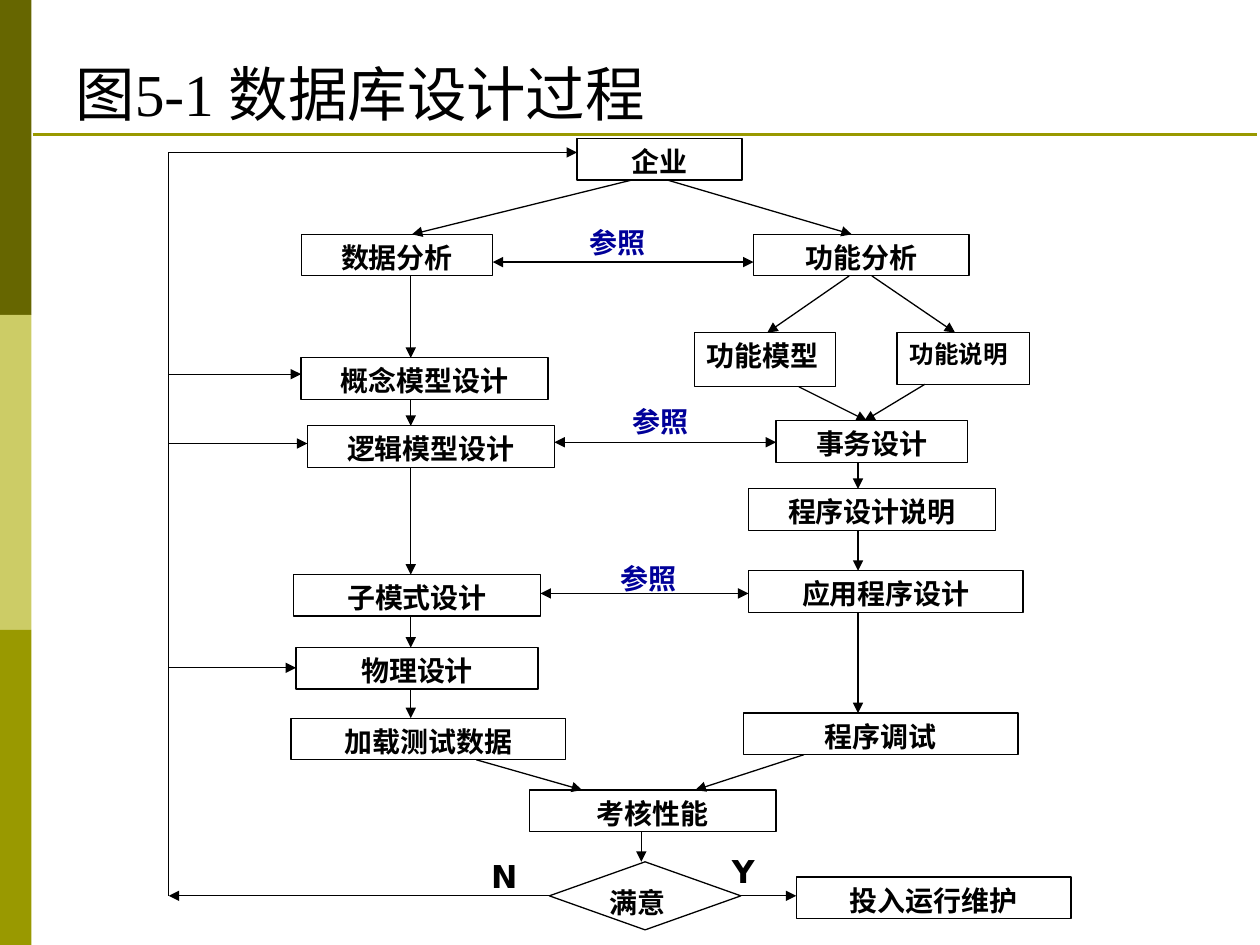
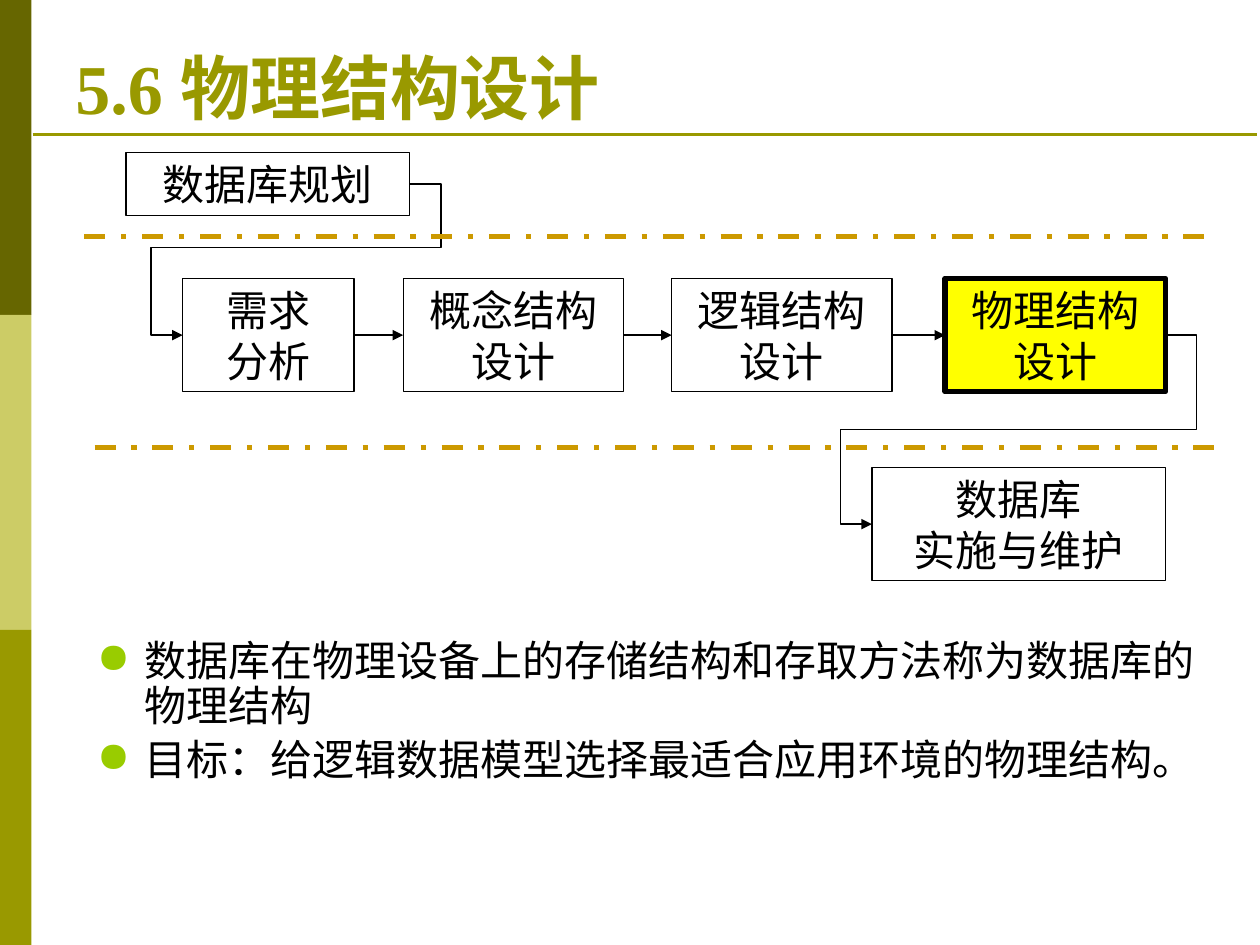
from dataclasses import dataclass
from typing import NamedTuple

from lxml import etree
from pptx import Presentation
from pptx import util as u
from pptx.dml.color import RGBColor
from pptx.enum import dml, shapes, text
from pptx.oxml.ns import qn


@dataclass(frozen=True)
class Theme:
    black: str = "000000"
    white: str = "FFFFFF"
    olive: str = "999900"
    dark_olive: str = "666600"
    pale_olive: str = "CCCC66"
    navy: str = "000099"
    yellow: str = "FFFF00"
    gold: str = "CC9900"
    lime: str = "99CC00"
    serif: str = "Times New Roman"
    sans: str = "DejaVu Sans"
    label_face: str = "Arial"
    small: int = 14
    node: int = 16
    answer: int = 18
    body: int = 24
    title: int = 34
    heading: int = 40
    thin: float = 0.75
    rule: float = 1.5
    thick: float = 3


THEME = Theme()
ALIGN = text.PP_ALIGN
SHAPE = shapes.MSO_SHAPE


class Box(NamedTuple):
    left: float
    top: float
    width: float
    height: float

    @property
    def right(self):
        return self.left + self.width

    @property
    def bottom(self):
        return self.top + self.height

    @property
    def middle(self):
        return self.top + self.height / 2

    def inside(self, x, y, width, height):
        return Box(self.left + x, self.top + y, width, height)

    def inches(self):
        return [u.Inches(value) for value in self]


def rgb(value):
    return RGBColor.from_string(value)


def write(frame, lines, size, align=ALIGN.CENTER, face=THEME.serif,
          color=THEME.black, bold=False):
    """Put one paragraph per line into the frame."""
    for index, line in enumerate(lines):
        para = frame.paragraphs[0] if index == 0 else frame.add_paragraph()
        para.alignment = align
        span = para.add_run()
        span.text = line
        span.font.color.rgb = rgb(color)
        for name, value in {"name": face, "size": u.Pt(size), "bold": bold}.items():
            setattr(span.font, name, value)


def add_block(page, box, fill=THEME.white, line=None, weight=THEME.thin, kind=SHAPE.RECTANGLE):
    block = page.shapes.add_shape(kind, *box.inches())
    block.shadow.inherit = False
    block.fill.solid()
    block.fill.fore_color.rgb = rgb(fill)
    if line:
        block.line.color.rgb = rgb(line)
        block.line.width = u.Pt(weight)
    else:
        block.line.fill.background()
    frame = block.text_frame
    frame.word_wrap = True
    frame.vertical_anchor = text.MSO_ANCHOR.TOP
    return block


def add_text(page, box, wrap=True, anchor=text.MSO_ANCHOR.TOP):
    frame = page.shapes.add_textbox(*box.inches()).text_frame
    frame.word_wrap = wrap
    frame.vertical_anchor = anchor
    return frame


def add_line(page, start, end, color=THEME.black, weight=THEME.thin, ends=(),
             kind=shapes.MSO_CONNECTOR.STRAIGHT):
    """Draw a connector; ends names the arrowheads, headEnd before tailEnd."""
    line = page.shapes.add_connector(kind, *[u.Inches(v) for v in (*start, *end)])
    line.line.color.rgb = rgb(color)
    line.line.width = u.Pt(weight)
    outline = line.line._get_or_add_ln()
    for name in ends:
        etree.SubElement(outline, qn(f"a:{name}"), type="triangle")
    etree.SubElement(line._element.spPr, qn("a:effectLst"))
    return line


def add_arrow(page, start, end):
    return add_line(page, start, end, ends=["tailEnd"])


def add_wrapping_arrow(page, source, target, middle):
    """Leave the source's right side and enter the target's left side from below."""
    gap = 0.25
    arrow = add_line(page, (source.right, source.middle), (target.left, target.middle),
                     ends=["tailEnd"], kind=shapes.MSO_CONNECTOR.ELBOW)
    overshoot = gap / (source.right - target.left)
    geometry = arrow._element.spPr.find(qn("a:prstGeom"))
    geometry.set("prst", "bentConnector5")
    guides = geometry.find(qn("a:avLst"))
    if guides is None:
        guides = etree.SubElement(geometry, qn("a:avLst"))
    for number, share in enumerate((-overshoot, middle, 1 + overshoot), 1):
        etree.SubElement(guides, qn("a:gd"), name=f"adj{number}",
                         fmla=f"val {round(share * 100000)}")


def side_band(page, box):
    colors = (THEME.dark_olive, THEME.pale_olive, THEME.olive)
    height = box.height / len(colors)
    for row, color in enumerate(colors):
        add_block(page, box.inside(0, row * height, box.width, height), color)


def title_region(page, box, title, **style):
    add_line(page, (box.left - 0.24, box.bottom), (box.right + 0.48, box.bottom),
             THEME.olive, THEME.rule)
    frame = add_text(page, box, anchor=text.MSO_ANCHOR.BOTTOM)
    write(frame, [title], align=ALIGN.LEFT, **style)


def start_page(deck, title, **style):
    page = deck.slides.add_slide(deck.slide_layouts[6])
    side_band(page, Box(0, 0, 0.25, 7.5))
    title_region(page, Box(0.5, 0.3, 9, 0.77), title, **style)
    return page


# Left, top and width of each step within the flowchart
STEPS = {
    "企业": (3.28, 0, 1.31),
    "数据分析": (1.09, 0.76, 1.52),
    "功能分析": (4.68, 0.76, 1.71),
    "概念模型设计": (1.09, 1.74, 1.96),
    "逻辑模型设计": (1.14, 2.28, 1.96),
    "事务设计": (4.86, 2.24, 1.52),
    "程序设计说明": (4.64, 2.78, 1.96),
    "子模式设计": (1.03, 3.46, 1.96),
    "应用程序设计": (4.64, 3.43, 2.18),
    "物理设计": (1.05, 4.04, 1.92),
    "加载测试数据": (1.01, 4.6, 2.18),
    "程序调试": (4.6, 4.56, 2.18),
    "考核性能": (2.9, 5.17, 1.96),
    "投入运行维护": (5.02, 5.86, 2.18),
}
# Steps with left-set text: box, type size, shape
LEFT_SET_STEPS = {
    "功能模型": ((4.21, 1.54, 1.12, 0.43), THEME.node, SHAPE.RECTANGLE),
    "功能说明": ((5.82, 1.54, 1.05, 0.41), THEME.small, SHAPE.RECTANGLE),
    "满意": ((3.06, 5.74, 1.52, 0.54), THEME.node, SHAPE.DIAMOND),
}
# Vertical runs of steps, each on one x
CHAINS = (
    (1.96, ("数据分析", "概念模型设计", "逻辑模型设计", "子模式设计", "物理设计", "加载测试数据")),
    (5.51, ("事务设计", "程序设计说明", "应用程序设计", "程序调试")),
    (3.79, ("考核性能", "满意")),
)
SLANTS = (
    ("企业", 3.71, "数据分析", 1.97),
    ("企业", 4.0, "功能分析", 5.46),
    ("功能分析", 5.44, "功能模型", 4.79),
    ("功能分析", 5.62, "功能说明", 6.28),
    ("功能模型", 5.04, "事务设计", 5.58),
    ("功能说明", 6.04, "事务设计", 5.56),
    ("加载测试数据", 2.48, "考核性能", 3.32),
    ("程序调试", 5.08, "考核性能", 4.22),
)
# Two steps, height of the arrow, place of its label
REFERENCES = (
    ("数据分析", "功能分析", 0.98, (3.28, 0.64)),
    ("逻辑模型设计", "事务设计", 2.41, (3.62, 2.06)),
    ("子模式设计", "应用程序设计", 3.61, (3.53, 3.31)),
)
RETURNS = {"企业": 0.11, "概念模型设计": 1.87, "逻辑模型设计": 2.42, "物理设计": 4.2}
ANSWERS = {"N": (2.5, 5.65), "Y": (4.41, 5.61)}


def flowchart(page, box):
    steps = {}
    for name, place in STEPS.items():
        steps[name] = box.inside(*place, 0.33)
        block = add_block(page, steps[name], line=THEME.black)
        write(block.text_frame, [name], THEME.node, bold=True)
    for name, (place, size, kind) in LEFT_SET_STEPS.items():
        steps[name] = box.inside(*place)
        block = add_block(page, steps[name], line=THEME.black, kind=kind)
        write(block.text_frame, [name], size, ALIGN.JUSTIFY, bold=True)

    links = [(upper, x, lower, x) for x, chain in CHAINS
             for upper, lower in zip(chain, chain[1:])]
    for upper, start, lower, end in (*links, *SLANTS):
        add_arrow(page, (box.left + start, steps[upper].bottom),
                  (box.left + end, steps[lower].top))

    for left, right, y, place in REFERENCES:
        add_line(page, (steps[left].right, box.top + y), (steps[right].left, box.top + y),
                 ends=["headEnd", "tailEnd"])
        write(add_text(page, box.inside(*place, 0.65, 0.37), wrap=False), ["参照"],
              THEME.node, ALIGN.LEFT, THEME.label_face, THEME.navy, True)

    feedback_routes(page, box, steps)
    for answer, place in ANSWERS.items():
        block = add_block(page, box.inside(*place, 0.54, 0.29))
        write(block.text_frame, [answer], THEME.answer, ALIGN.JUSTIFY, THEME.sans, bold=True)


def feedback_routes(page, box, steps):
    """Lead both answers away from the decision, N back up the left side."""
    spine = box.left + 0.04
    choice, release = steps["满意"], steps["投入运行维护"]
    add_line(page, (spine, box.top + RETURNS["企业"]), (spine, choice.middle))
    add_arrow(page, (choice.left, choice.middle), (spine, choice.middle))
    add_arrow(page, (choice.right, choice.middle), (release.left, choice.middle))
    for name, y in RETURNS.items():
        add_arrow(page, (spine, box.top + y), (steps[name].left, box.top + y))


def stage_map(page, box):
    plan = box.inside(0.33, 0, 2.25, 0.5)
    upkeep = box.inside(6.25, 2.5, 2.33, 0.9)
    row = [box.inside(x, 1, width, 0.9)
           for x, width in ((0.78, 1.36), (2.53, 1.75), (4.66, 1.75), (6.83, 1.75))]
    current = row[-1]
    stages = (
        (plan, ["数据库规划"]),
        (row[0], ["需求", "分析"]),
        (row[1], ["概念结构设计"]),
        (row[2], ["逻辑结构设计"]),
        (current, ["物理结构设计"]),
        (upkeep, ["数据库", "实施与维护"]),
    )
    for place, lines in stages:
        style = {"fill": THEME.yellow, "weight": THEME.thick} if place == current else {}
        block = add_block(page, place, line=THEME.black, **style)
        write(block.text_frame, lines, THEME.body)

    for source, target in zip(row, row[1:]):
        add_arrow(page, (source.right, source.middle), (target.left, target.middle))
    add_wrapping_arrow(page, plan, row[0], 0.42)
    add_wrapping_arrow(page, current, upkeep, 0.5)
    for x, y in ((0, 0.67), (0.08, 2.34)):
        start = (box.left + x, box.top + y)
        divider = add_line(page, start, (start[0] + box.width, start[1]),
                           THEME.gold, THEME.thick)
        divider.line.dash_style = dml.MSO_LINE.DASH_DOT


def bullet_list(page, box, points):
    frame = add_text(page, box)
    write(frame, points, THEME.body, ALIGN.LEFT, THEME.sans)
    for index, para in enumerate(frame.paragraphs):
        para.line_spacing = 0.9
        para.space_before = u.Pt(5 if index else 0)
        settings = para._p.get_or_add_pPr()
        settings.set("marL", str(u.Inches(0.38)))
        settings.set("indent", str(u.Inches(-0.38)))
        color = etree.SubElement(settings, qn("a:buClr"))
        etree.SubElement(color, qn("a:srgbClr"), val=THEME.lime)
        etree.SubElement(settings, qn("a:buChar"), char="●")


def main():
    deck = Presentation()
    deck.slide_width, deck.slide_height = u.Inches(10), u.Inches(7.5)

    page = start_page(deck, "图5-1 数据库设计过程", size=THEME.title)
    flowchart(page, Box(1.3, 1.1, 7.2, 6.28))

    page = start_page(deck, "5.6 物理结构设计", size=THEME.heading,
                      color=THEME.olive, bold=True)
    stage_map(page, Box(0.67, 1.21, 8.92, 3.4))
    bullet_list(page, Box(0.67, 5.03, 9, 1.5), [
        "数据库在物理设备上的存储结构和存取方法称为数据库的物理结构",
        "目标：给逻辑数据模型选择最适合应用环境的物理结构。",
    ])
    deck.save("out.pptx")


if __name__ == "__main__":
    main()
